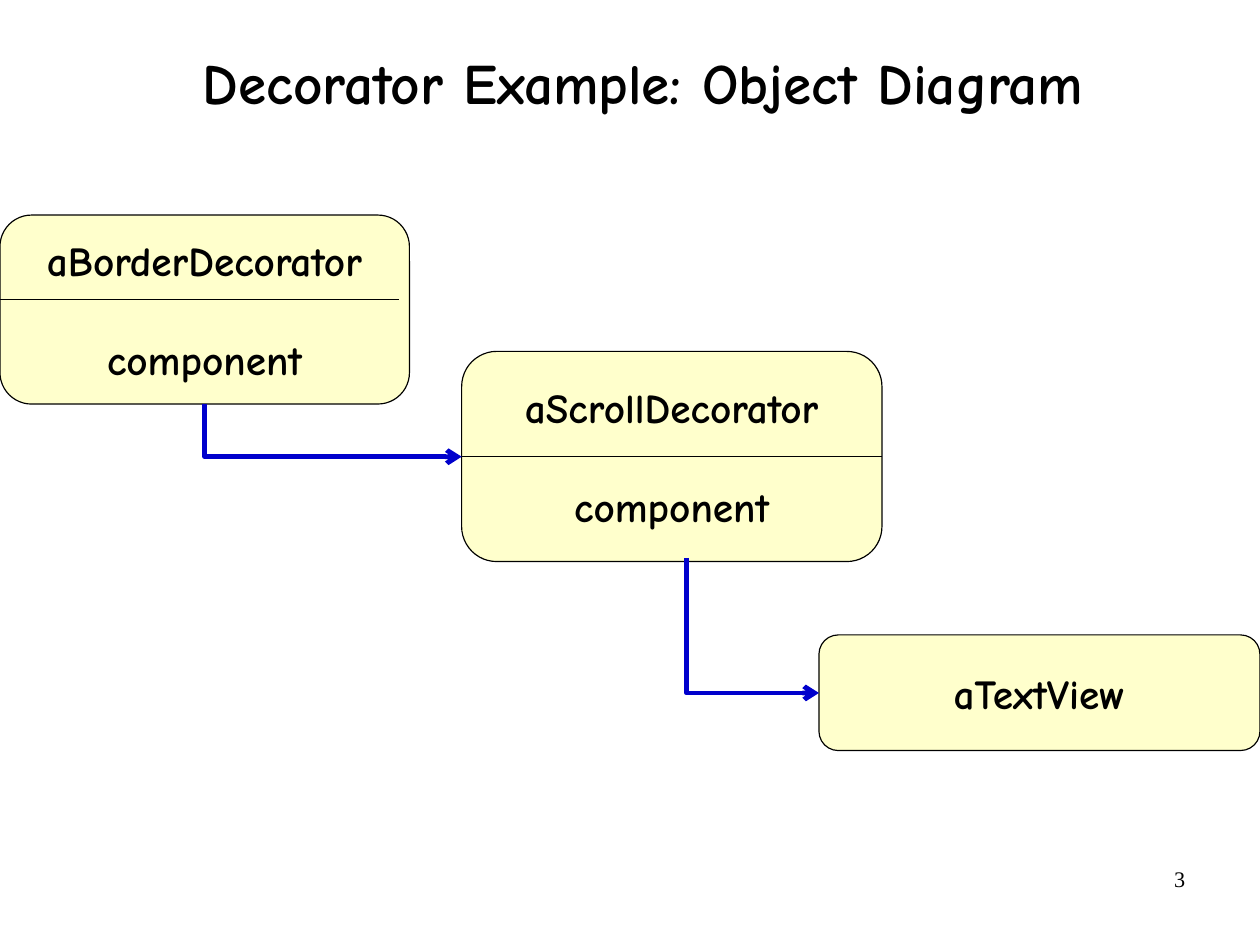
"""Draw the decorator object diagram slide."""
from dataclasses import dataclass
from typing import Any

from lxml import etree
from pptx import Presentation
from pptx import util as u
from pptx.dml.color import RGBColor
from pptx.enum import shapes, text
from pptx.oxml import ns


@dataclass(frozen=True)
class Theme:
    ink: RGBColor = RGBColor(0x00, 0x00, 0x00)
    cream: RGBColor = RGBColor(0xFF, 0xFF, 0xCC)
    blue: RGBColor = RGBColor(0x00, 0x00, 0xCC)
    comic: str = "Comic Neue"
    roman: str = "Times New Roman"
    title: float = 36
    label: float = 26
    number: float = 14
    gap: float = 31
    thin: float = 0.75
    thick: float = 3


@dataclass(frozen=True)
class Box:
    left: float
    top: float
    width: float
    height: float


@dataclass(frozen=True)
class Node:
    box: Box
    words: tuple[str, ...]


@dataclass(frozen=True)
class Link:
    left: float
    top: float
    right: float
    bottom: float


THEME = Theme()
TITLE = Box(2.35, 0.97, 23.88, 1.88)
NUMBER = Box(20.06, 19.11, 6.53, 1.45)
NODES = (
    Node(Box(0, 4.78, 9.1, 4.2), ("aBorderDecorator", "component")),
    Node(Box(10.26, 7.81, 9.34, 4.67), ("aScrollDecorator", "component")),
    Node(Box(18.2, 14.11, 9.8, 2.57), ("aTextView",)),
)
RULES = (Link(0, 6.65, 8.86, 6.65), Link(10.26, 10.15, 19.6, 10.15))
ARROWS = (Link(4.55, 8.98, 10.26, 10.15), Link(15.26, 12.4, 18.2, 15.4))


def apply(item: Any, values: dict[str, Any]) -> None:
    for name, value in values.items():
        setattr(item, name, value)


def place(box: Box) -> tuple[u.Length, ...]:
    return tuple(u.Cm(n) for n in (box.left, box.top, box.width, box.height))


def write(shape: Any, words: tuple[str, ...], size: float, face: str,
          frame: dict[str, Any], para: dict[str, Any], bold: bool = True) -> None:
    body = shape.text_frame
    apply(body, frame)
    for i, word in enumerate(words):
        line = body.add_paragraph() if i else body.paragraphs[0]
        apply(line, para)
        if i:
            line.space_before = u.Pt(THEME.gap)
        run = line.add_run()
        run.text = word
        apply(run.font, {"size": u.Pt(size), "name": face, "bold": bold})
        run.font.color.rgb = THEME.ink


def draw_node(slide: Any, node: Node) -> None:
    shape = slide.shapes.add_shape(
        shapes.MSO_SHAPE.ROUNDED_RECTANGLE, *place(node.box))
    shape.adjustments[0] = 0.167
    shape.shadow.inherit = False
    shape.fill.solid()
    shape.fill.fore_color.rgb = THEME.cream
    shape.line.color.rgb = THEME.ink
    shape.line.width = u.Pt(THEME.thin)
    frame = {"word_wrap": False, "vertical_anchor": text.MSO_ANCHOR.MIDDLE}
    write(shape, node.words, THEME.label, THEME.comic, frame,
          {"alignment": text.PP_ALIGN.CENTER})


def draw_line(slide: Any, kind: Any, link: Link, tint: RGBColor,
              width: float) -> Any:
    ends = (link.left, link.top, link.right, link.bottom)
    line = slide.shapes.add_connector(kind, *(u.Cm(n) for n in ends))
    line.line.color.rgb = tint
    line.line.width = u.Pt(width)
    etree.SubElement(line._element.spPr, ns.qn("a:effectLst"))
    return line


def draw_arrow(slide: Any, link: Link) -> None:
    mid_x, mid_y = (link.left + link.right) / 2, (link.top + link.bottom) / 2
    half_w, half_h = (link.bottom - link.top) / 2, (link.right - link.left) / 2
    turned = Link(mid_x + half_w, mid_y - half_h, mid_x - half_w, mid_y + half_h)
    line = draw_line(slide, shapes.MSO_CONNECTOR.ELBOW, turned, THEME.blue,
                     THEME.thick)
    props = line._element.spPr
    props.find(ns.qn("a:xfrm")).set("rot", str(270 * 60000))
    props.find(ns.qn("a:prstGeom")).set("prst", "bentConnector2")
    etree.SubElement(props.find(ns.qn("a:ln")), ns.qn("a:tailEnd"), type="arrow")


def main() -> None:
    deck = Presentation()
    apply(deck, {"slide_width": u.Cm(28), "slide_height": u.Cm(21)})
    slide = deck.slides.add_slide(deck.slide_layouts[6])
    sides = ("left", "top", "right", "bottom")
    frame = {f"margin_{side}": 0 for side in sides}
    frame |= {"word_wrap": True, "vertical_anchor": text.MSO_ANCHOR.MIDDLE}
    write(slide.shapes.add_textbox(*place(TITLE)),
          ("Decorator Example: Object Diagram",), THEME.title, THEME.comic,
          frame, {"alignment": text.PP_ALIGN.CENTER, "line_spacing": 0.88})
    write(slide.shapes.add_textbox(*place(NUMBER)), ("3",), THEME.number,
          THEME.roman, {"word_wrap": True},
          {"alignment": text.PP_ALIGN.RIGHT}, bold=False)
    for node in NODES:
        draw_node(slide, node)
    for rule in RULES:
        draw_line(slide, shapes.MSO_CONNECTOR.STRAIGHT, rule, THEME.ink,
                  THEME.thin)
    for arrow in ARROWS:
        draw_arrow(slide, arrow)
    deck.save("out.pptx")


if __name__ == "__main__":
    main()
